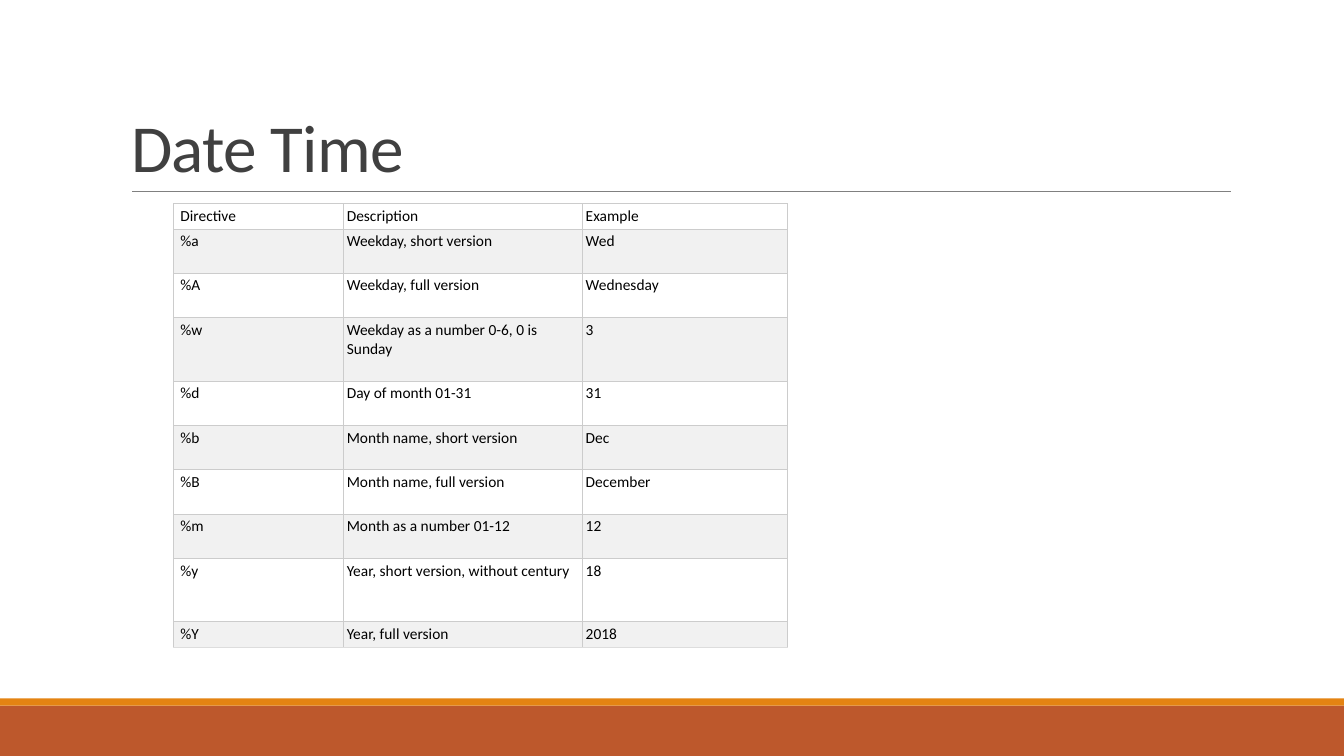
from lxml.etree import SubElement
from pptx import Presentation
from pptx.dml.color import RGBColor
from pptx.enum.shapes import MSO_CONNECTOR, MSO_SHAPE
from pptx.enum.text import MSO_ANCHOR, PP_ALIGN
from pptx.oxml.ns import qn
from pptx.util import Inches, Pt

COLORS = {
    "rust": "BD582C",
    "orange": "E48312",
    "rule": "808080",
    "title": "404040",
    "text": "000000",
    "white": "FFFFFF",
    "band": "F1F1F1",
    "border": "CCCCCC",
    "last_border": "DDDDDD",
}
FONT = "Calibri"
DIRECTIVES = [
    ("Directive", "Description", "Example"),
    ("%a", "Weekday, short version", "Wed"),
    ("%A", "Weekday, full version", "Wednesday"),
    ("%w", "Weekday as a number 0-6, 0 is Sunday", "3"),
    ("%d", "Day of month 01-31", "31"),
    ("%b", "Month name, short version", "Dec"),
    ("%B", "Month name, full version", "December"),
    ("%m", "Month as a number 01-12", "12"),
    ("%y", "Year, short version, without century", "18"),
    ("%Y", "Year, full version", "2018"),
]
COLUMN_WIDTHS = [1.69, 2.37, 2.03]
ROW_HEIGHTS = [0.25, 0.44, 0.44, 0.63, 0.44, 0.44, 0.44, 0.44, 0.63, 0.25]


def rgb(name):
    return RGBColor.from_string(COLORS[name])


def add_run(paragraph, text, size, color):
    run = paragraph.add_run()
    run.text = text
    run.font.name = FONT
    run.font.size = Pt(size)
    run.font.color.rgb = rgb(color)
    return run


prs = Presentation()
prs.slide_width = Inches(13.33)
prs.slide_height = Inches(7.5)
slide = prs.slides.add_slide(prs.slide_layouts[5])

for top, height, color in [(7, 0.5, "rust"), (6.93, 0.07, "orange")]:
    footer_band = slide.shapes.add_shape(
        MSO_SHAPE.RECTANGLE, 0, Inches(top), prs.slide_width, Inches(height))
    footer_band.shadow.inherit = False
    footer_band.fill.solid()
    footer_band.fill.fore_color.rgb = rgb(color)
    footer_band.line.fill.background()

title_rule = slide.shapes.add_connector(
    MSO_CONNECTOR.STRAIGHT, Inches(1.31), Inches(1.9), Inches(12.21), Inches(1.9))
title_rule.line.color.rgb = rgb("rule")
title_rule.line.width = Pt(0.5)
SubElement(title_rule._element.spPr, qn("a:effectLst"))

title = slide.shapes.title
title.left, title.top = Inches(1.2), Inches(0.31)
title.width, title.height = Inches(11), Inches(1.59)
title.text_frame.vertical_anchor = MSO_ANCHOR.BOTTOM
heading = title.text_frame.paragraphs[0]
heading.alignment = PP_ALIGN.LEFT
heading.line_spacing = 0.85
heading_run = add_run(heading, "Date Time", 48, "title")
heading_run.font._element.set("spc", "-50")

directives = slide.shapes.add_table(
    len(DIRECTIVES), len(COLUMN_WIDTHS), Inches(1.72), Inches(2.02),
    Inches(sum(COLUMN_WIDTHS)), Inches(sum(ROW_HEIGHTS))).table
for column, width in zip(directives.columns, COLUMN_WIDTHS):
    column.width = Inches(width)
for row, height in zip(directives.rows, ROW_HEIGHTS):
    row.height = Inches(height)

for r, entry in enumerate(DIRECTIVES):
    is_last = r == len(DIRECTIVES) - 1
    for c, text in enumerate(entry):
        cell = directives.cell(r, c)
        cell.margin_left = Inches(0.07 if c == 0 else 0.03)
        cell.margin_right = cell.margin_top = cell.margin_bottom = Inches(0.03)
        add_run(cell.text_frame.paragraphs[0], text, 11, "text")
        for side in ("lnL", "lnR", "lnT", "lnB"):
            border_color = "last_border" if is_last and side == "lnB" else "border"
            border = SubElement(
                cell._tc.get_or_add_tcPr(), qn(f"a:{side}"), w=str(Pt(0.5)))
            border_fill = SubElement(border, qn("a:solidFill"))
            SubElement(border_fill, qn("a:srgbClr"), val=COLORS[border_color])
        cell.fill.solid()
        cell.fill.fore_color.rgb = rgb("band" if r % 2 else "white")

prs.save("out.pptx")
